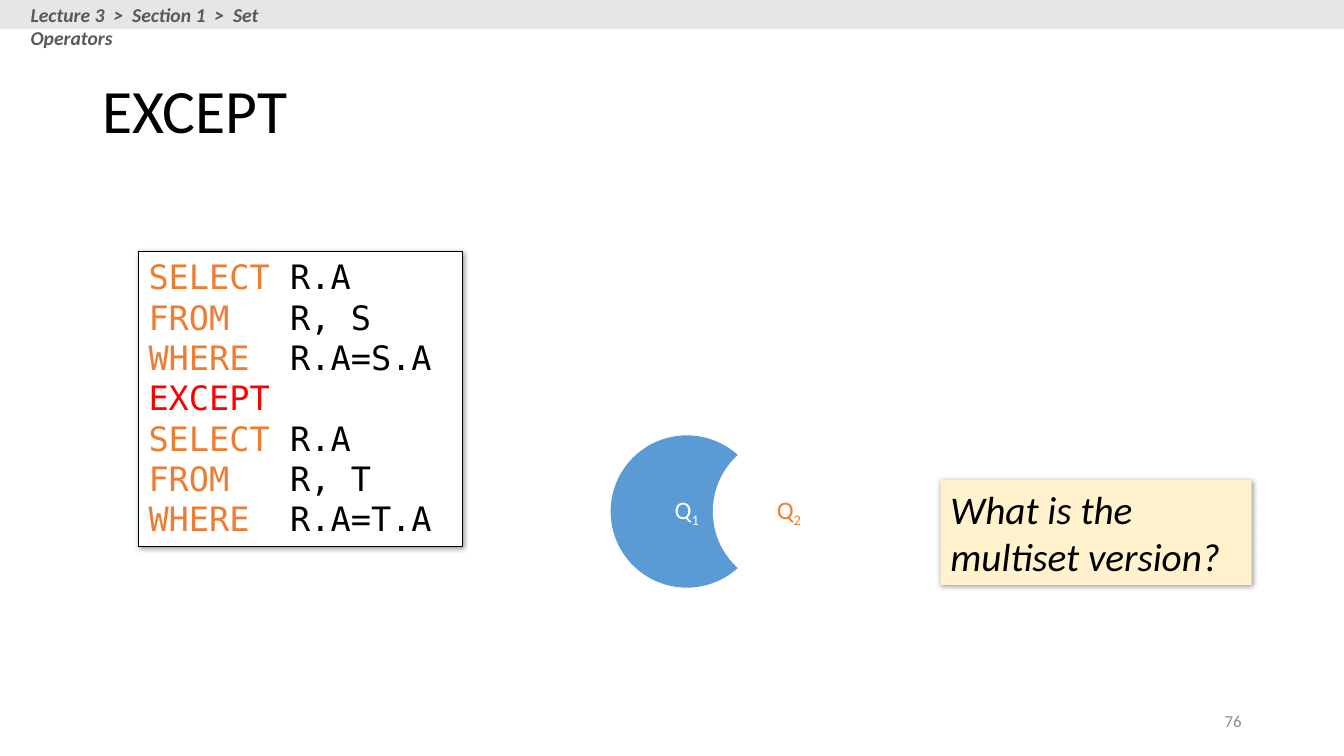
from lxml.etree import SubElement
from pptx import Presentation
from pptx.dml.color import RGBColor
from pptx.enum.shapes import MSO_SHAPE
from pptx.enum.text import MSO_ANCHOR, PP_ALIGN
from pptx.oxml.ns import qn
from pptx.util import Pt

BLACK = RGBColor(0x00, 0x00, 0x00)
WHITE = RGBColor(0xFF, 0xFF, 0xFF)
GREY = RGBColor(0xE7, 0xE6, 0xE6)
DARK = RGBColor(0x59, 0x59, 0x59)
PALE = RGBColor(0x8C, 0x8C, 0x8C)
ORANGE = RGBColor(0xED, 0x7D, 0x31)
RED = RGBColor(0xFF, 0x00, 0x00)
BLUE = RGBColor(0x5B, 0x9B, 0xD5)
CREAM = RGBColor(0xFF, 0xF2, 0xCC)

QUERY = [
    ("SELECT", "R.A"),
    ("FROM", "R, S"),
    ("WHERE", "R.A=S.A"),
    ("EXCEPT", ""),
    ("SELECT", "R.A"),
    ("FROM", "R, T"),
    ("WHERE", "R.A=T.A"),
]


def add_text(slide, box, text, size, color, anchor=MSO_ANCHOR.TOP):
    """Add a one-paragraph text box and return its paragraph."""
    frame = slide.shapes.add_textbox(*map(Pt, box)).text_frame
    frame.word_wrap = True
    frame.vertical_anchor = anchor
    para = frame.paragraphs[0]
    para.text = text
    style(para, size, color)
    return para


def style(para, size, color, face="Calibri"):
    para.font.name = face
    para.font.size = Pt(size)
    para.font.color.rgb = color


def add_block(slide, kind, box, fill):
    """Add a filled preset shape without outline or shadow."""
    shape = slide.shapes.add_shape(kind, *map(Pt, box))
    shape.shadow.inherit = False
    shape.fill.solid()
    shape.fill.fore_color.rgb = fill
    shape.line.fill.background()
    return shape


def add_panel(slide, box, fill):
    """Add a rectangle with a soft shadow and top-left text."""
    shape = add_block(slide, MSO_SHAPE.RECTANGLE, box, fill)
    effects = shape._element.spPr.find(qn("a:effectLst"))
    shadow = SubElement(effects, qn("a:outerShdw"), blurRad=str(Pt(4)),
                        dist=str(Pt(1)), dir="2700000", algn="tl", rotWithShape="0")
    tint = SubElement(shadow, qn("a:srgbClr"), val=str(BLACK))
    SubElement(tint, qn("a:alpha"), val="40000")
    shape.text_frame.word_wrap = True
    shape.text_frame.vertical_anchor = MSO_ANCHOR.TOP
    return shape


def add_code(slide, box, lines):
    """Add the query panel with coloured keywords."""
    panel = add_panel(slide, box, WHITE)
    panel.line.color.rgb = BLACK
    panel.line.width = Pt(0.75)
    frame = panel.text_frame
    for i, (word, rest) in enumerate(lines):
        para = frame.add_paragraph() if i else frame.paragraphs[0]
        para.alignment = PP_ALIGN.LEFT
        style(para, 24, BLACK, "DejaVu Sans Mono")
        run = para.add_run()
        run.text = f"{word:<7}" if rest else word
        run.font.color.rgb = ORANGE if rest else RED
        if rest:
            tail = para.add_run()
            tail.text = rest
            tail.font.color.rgb = BLACK


def add_set(slide, box, index, fill, color):
    """Add one Venn circle labelled Q with a subscript."""
    circle = add_block(slide, MSO_SHAPE.OVAL, box, fill)
    circle.text_frame.vertical_anchor = MSO_ANCHOR.MIDDLE
    para = circle.text_frame.paragraphs[0]
    para.alignment = PP_ALIGN.CENTER
    style(para, 18, color)
    for text in ("Q", index):
        run = para.add_run()
        run.text = text
        run.font.color.rgb = color
    run.font._element.set("baseline", "-25000")


def main():
    deck = Presentation()
    deck.slide_width, deck.slide_height = Pt(960), Pt(540)
    slide = deck.slides.add_slide(deck.slide_layouts[6])

    # Title and page number
    title = add_text(slide, (66, 29, 828, 104.4), "EXCEPT", 44, BLACK, MSO_ANCHOR.MIDDLE)
    title.line_spacing = 0.9
    page = add_text(slide, (678, 500.5, 216, 28.8), "76", 12, PALE, MSO_ANCHOR.MIDDLE)
    page.alignment = PP_ALIGN.RIGHT

    # Query
    add_code(slide, (99, 179.5, 231.5, 211), QUERY)

    # Header bar
    add_block(slide, MSO_SHAPE.RECTANGLE, (0, 0, 960, 20.6), GREY)
    crumb = add_text(slide, (14.8, -1.6, 235.5, 24.2),
                     "Lecture 3  >  Section 1  >  Set Operators", 14, DARK)
    crumb.font.bold = crumb.font.italic = True

    # Venn diagram: the second circle cuts into the first
    left, top, size, step = 436.2, 311, 108.8, 73
    for i, (fill, color) in enumerate([(BLUE, WHITE), (WHITE, ORANGE)]):
        add_set(slide, (left + i * step, top, size, size), str(i + 1), fill, color)

    # Question
    panel = add_panel(slide, (671.8, 342.8, 222.2, 75.1), CREAM)
    para = panel.text_frame.paragraphs[0]
    para.text = "What is the multiset version?"
    para.alignment = PP_ALIGN.LEFT
    style(para, 28, BLACK)
    para.font.italic = True

    deck.save("out.pptx")


if __name__ == "__main__":
    main()
